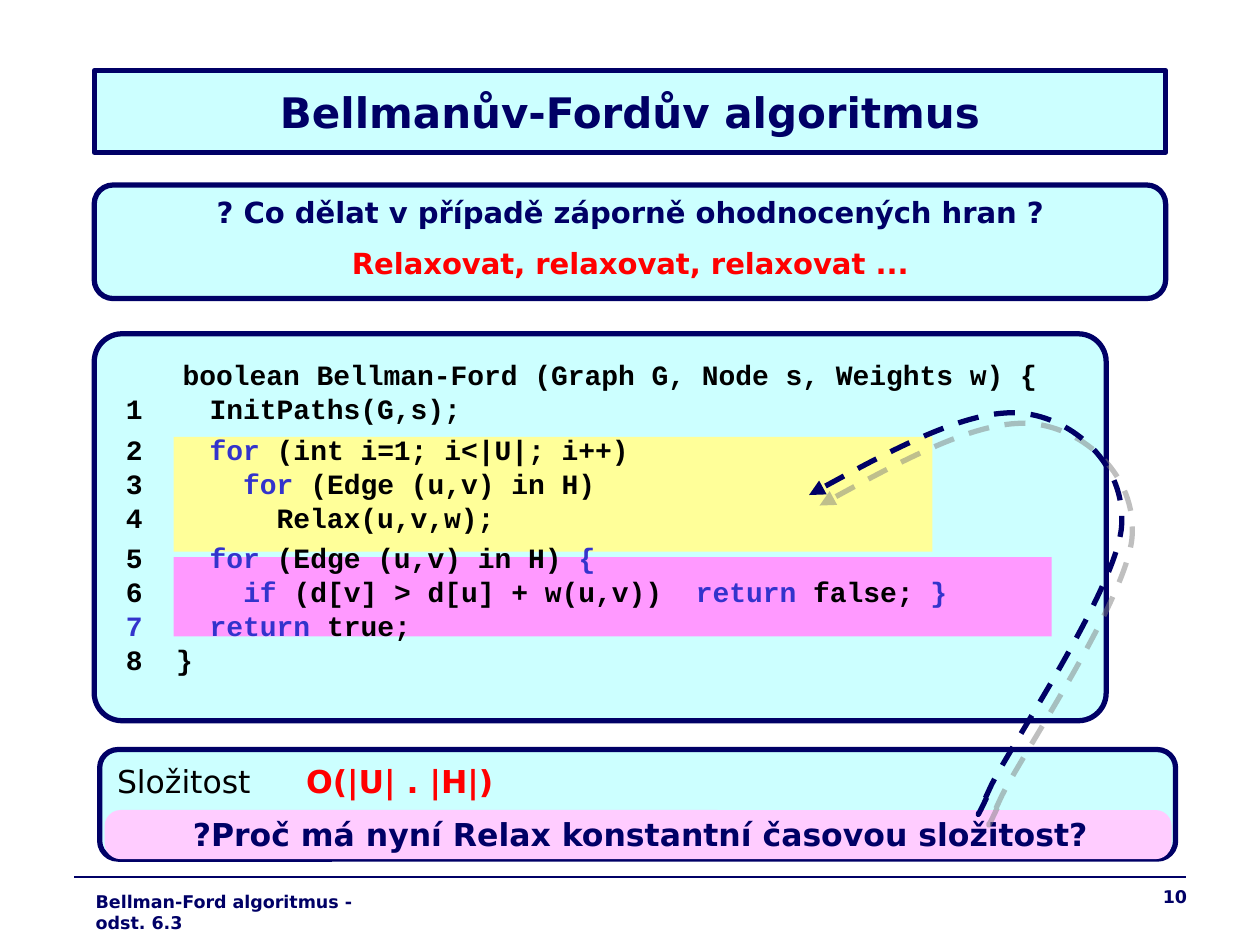
from dataclasses import dataclass

from lxml import etree
from pptx import Presentation
from pptx.dml.color import RGBColor
from pptx.enum.dml import MSO_LINE
from pptx.enum.shapes import MSO_CONNECTOR, MSO_SHAPE
from pptx.enum.text import MSO_ANCHOR, PP_ALIGN
from pptx.oxml.ns import qn
from pptx.util import Cm, Pt

RECT, ROUND = MSO_SHAPE.RECTANGLE, MSO_SHAPE.ROUNDED_RECTANGLE
LEFT, CENTER, RIGHT = PP_ALIGN.LEFT, PP_ALIGN.CENTER, PP_ALIGN.RIGHT
TITLE_ONLY = 5


@dataclass(frozen=True)
class Theme:
    navy: str = "000066"
    aqua: str = "CCFFFF"
    pink: str = "FFCCFF"
    yellow: str = "FFFF99"
    magenta: str = "FF99FF"
    keyword: str = "3333CC"
    red: str = "FF0000"
    black: str = "000000"
    shadow: str = "808080"
    sans: str = "DejaVu Sans"
    mono: str = "Courier New"
    title: float = 24
    body: float = 18
    question: float = 16.6
    code: float = 16
    small: float = 10
    outline: float = 3
    rule: float = 0.75


T = Theme()


@dataclass(frozen=True)
class Box:
    left: float
    top: float
    width: float
    height: float

    def emu(self) -> list[Cm]:
        return [Cm(v) for v in (self.left, self.top, self.width, self.height)]


@dataclass(frozen=True)
class Panel:
    box: Box
    fill: str
    radius: float = 0
    outlined: bool = False


@dataclass(frozen=True)
class Run:
    text: str
    color: str = T.navy
    size: float = T.body
    bold: bool = True
    font: str = T.sans


@dataclass(frozen=True)
class Para:
    runs: list[Run]
    align: PP_ALIGN = LEFT
    spacing: float = 1.0
    before: float = 0
    tabbed: bool = False


def code(text: str, color: str = T.black, size: float = T.code) -> Run:
    return Run(text, color, size, font=T.mono)


def key(text: str) -> Run:
    return code(text, T.keyword)


def code_line(*runs: Run, spacing: float = 0.8) -> Para:
    return Para(list(runs), spacing=spacing, before=4)


PANELS = [
    Panel(Box(2.01, 15.11, 21.69, 2.21), T.aqua, 0.167, True),
    Panel(Box(2.11, 16.33, 21.51, 0.99), T.pink, 0.326),
    Panel(Box(1.9, 6.73, 20.4, 7.8), T.aqua, 0.072, True),
    Panel(Box(1.9, 3.73, 21.6, 2.29), T.aqua, 0.167, True),
    Panel(Box(3.5, 8.81, 15.3, 2.31), T.yellow),
    Panel(Box(3.5, 11.23, 17.7, 1.6), T.magenta),
]
TITLE = [Para([Run("Bellmanův-Fordův algoritmus", size=T.title)], CENTER)]
QUESTION = [
    Para([Run("? Co dělat v případě záporně ohodnocených hran ?", size=T.question)],
         CENTER, 0.8),
    Para([Run("Relaxovat, relaxovat, relaxovat ...", T.red, T.question)],
         CENTER, before=9),
]
ALGORITHM = [
    Para([code("   ", size=T.body),
          code("boolean Bellman-Ford (Graph G, Node s, Weights w) {")], spacing=1.1),
    code_line(code("1    InitPaths(G,s);")),
    code_line(code("2    "), key("for"), code(" (int i=1; i<|U|; i++)"), spacing=1.0),
    code_line(code("3"), key("      for"), code(" (Edge (u,v) in H)")),
    code_line(code("4        Relax(u,v,w);")),
    code_line(code("5    "), key("for"), code(" (Edge (u,v) in H) "), key("{"),
              spacing=1.0),
    code_line(code("6      "), key("if "), code("(d[v] > d[u] + w(u,v))  "),
              key("return"), code(" false;"), key(" }")),
    code_line(key("7    return"), code(" true;")),
    code_line(code("8  }")),
]
COMPLEXITY = [
    Para([Run("Složitost\t", T.black, bold=False), Run("O(|U| . |H|)", T.red)],
         spacing=1.4, tabbed=True),
    Para([Run("?Proč má nyní Relax konstantní časovou složitost?")], CENTER, 1.4),
]
FOOTER = [Para([Run("Bellman-Ford algoritmus - odst. 6.3", size=T.small)])]
NUMBER = [Para([Run("10", size=T.small)], RIGHT)]

TEXTS = [
    (Box(1.9, 3.94, 21.6, 1.9), QUESTION),
    (Box(1.68, 17.83, 6.63, 0.69), FOOTER),
    (Box(2.29, 6.93, 19.6, 7.39), ALGORITHM),
    (Box(2.11, 14.94, 21.6, 2.39), COMPLEXITY),
    (Box(18.9, 17.73, 5.28, 0.91), NUMBER),
]
# Start point, then three Bézier points for each curve
ARROW = [
    (19.89, 16.08),
    (19.74, 16.41), (19.56, 16.74), (19.99, 15.82),
    (20.45, 14.91), (22.5, 11.86), (22.61, 10.62),
    (22.71, 9.37), (21.64, 8.43), (20.6, 8.33),
    (19.56, 8.23), (17.93, 9.09), (16.31, 9.98),
]


def paint(s, fill: str, outlined: bool) -> None:
    s.fill.solid()
    s.fill.fore_color.rgb = RGBColor.from_string(fill)
    if outlined:
        s.line.color.rgb = RGBColor.from_string(T.navy)
        s.line.width = Pt(T.outline)
    else:
        s.line.fill.background()


def draw_panel(shapes, panel: Panel) -> None:
    s = shapes.add_shape(ROUND if panel.radius else RECT, *panel.box.emu())
    s.shadow.inherit = False
    if panel.radius:
        s.adjustments[0] = panel.radius
    paint(s, panel.fill, panel.outlined)


def add_tabs(p) -> None:
    """Give the paragraph a hanging indent and a tab stop at every inch."""
    pPr = p._p.get_or_add_pPr()
    pPr.set("marL", str(Cm(1.27)))
    pPr.set("indent", str(-Cm(1.27)))
    tabs = etree.SubElement(pPr, qn("a:tabLst"))
    for i in range(8):
        etree.SubElement(tabs, qn("a:tab"), pos=str(Cm(2.54 * i)), algn="l")


def write(tf, paras: list[Para]) -> None:
    tf.word_wrap = True
    for i, para in enumerate(paras):
        p = tf.add_paragraph() if i else tf.paragraphs[0]
        if para.tabbed:
            add_tabs(p)
        p.alignment = para.align
        p.line_spacing = para.spacing
        p.space_before = Pt(para.before)
        for run in para.runs:
            r = p.add_run()
            r.text = run.text
            r.font.name, r.font.size, r.font.bold = run.font, Pt(run.size), run.bold
            r.font.color.rgb = RGBColor.from_string(run.color)


def draw_arrow(shapes, points: list[tuple[float, float]]) -> None:
    start, *rest = [(Cm(x), Cm(y)) for x, y in points]
    builder = shapes.build_freeform(*start)
    builder.add_line_segments(rest, close=False)
    s = builder.convert_to_shape()
    s.fill.background()
    s.line.color.rgb = RGBColor.from_string(T.navy)
    s.line.width = Pt(T.outline)
    s.line.dash_style = MSO_LINE.DASH
    etree.SubElement(s.line._get_or_add_ln(), qn("a:tailEnd"), type="triangle")

    route = s._element.spPr.find(".//" + qn("a:path"))
    segments = route.findall(qn("a:lnTo"))
    for i in range(0, len(segments), 3):
        curve = etree.SubElement(route, qn("a:cubicBezTo"))
        for segment in segments[i:i + 3]:
            curve.append(segment[0])
            route.remove(segment)

    s.shadow.inherit = False
    effects = s._element.spPr.find(qn("a:effectLst"))
    shadow = etree.SubElement(effects, qn("a:outerShdw"), dist=str(Pt(8.5)),
                              dir=str(45 * 60000), algn="ctr", rotWithShape="0")
    color = etree.SubElement(shadow, qn("a:srgbClr"), val=T.shadow)
    etree.SubElement(color, qn("a:alpha"), val="50000")


def draw_rule(shapes) -> None:
    s = shapes.add_connector(MSO_CONNECTOR.STRAIGHT, Cm(1.5), Cm(17.68), Cm(23.9), Cm(17.68))
    s.line.color.rgb = RGBColor.from_string(T.navy)
    s.line.width = Pt(T.rule)
    etree.SubElement(s._element.spPr, qn("a:effectLst"))


def main() -> None:
    prs = Presentation()
    prs.slide_width, prs.slide_height = Cm(25.4), Cm(19.05)
    slide = prs.slides.add_slide(prs.slide_layouts[TITLE_ONLY])
    shapes = slide.shapes
    title = shapes.title
    title.left, title.top, title.width, title.height = Box(1.9, 1.42, 21.6, 1.65).emu()
    paint(title, T.aqua, True)
    title.text_frame.vertical_anchor = MSO_ANCHOR.MIDDLE
    write(title.text_frame, TITLE)
    draw_rule(shapes)
    for panel in PANELS:
        draw_panel(shapes, panel)
    for box, paras in TEXTS:
        write(shapes.add_textbox(*box.emu()).text_frame, paras)
    draw_arrow(shapes, ARROW)
    prs.save("out.pptx")


if __name__ == "__main__":
    main()
